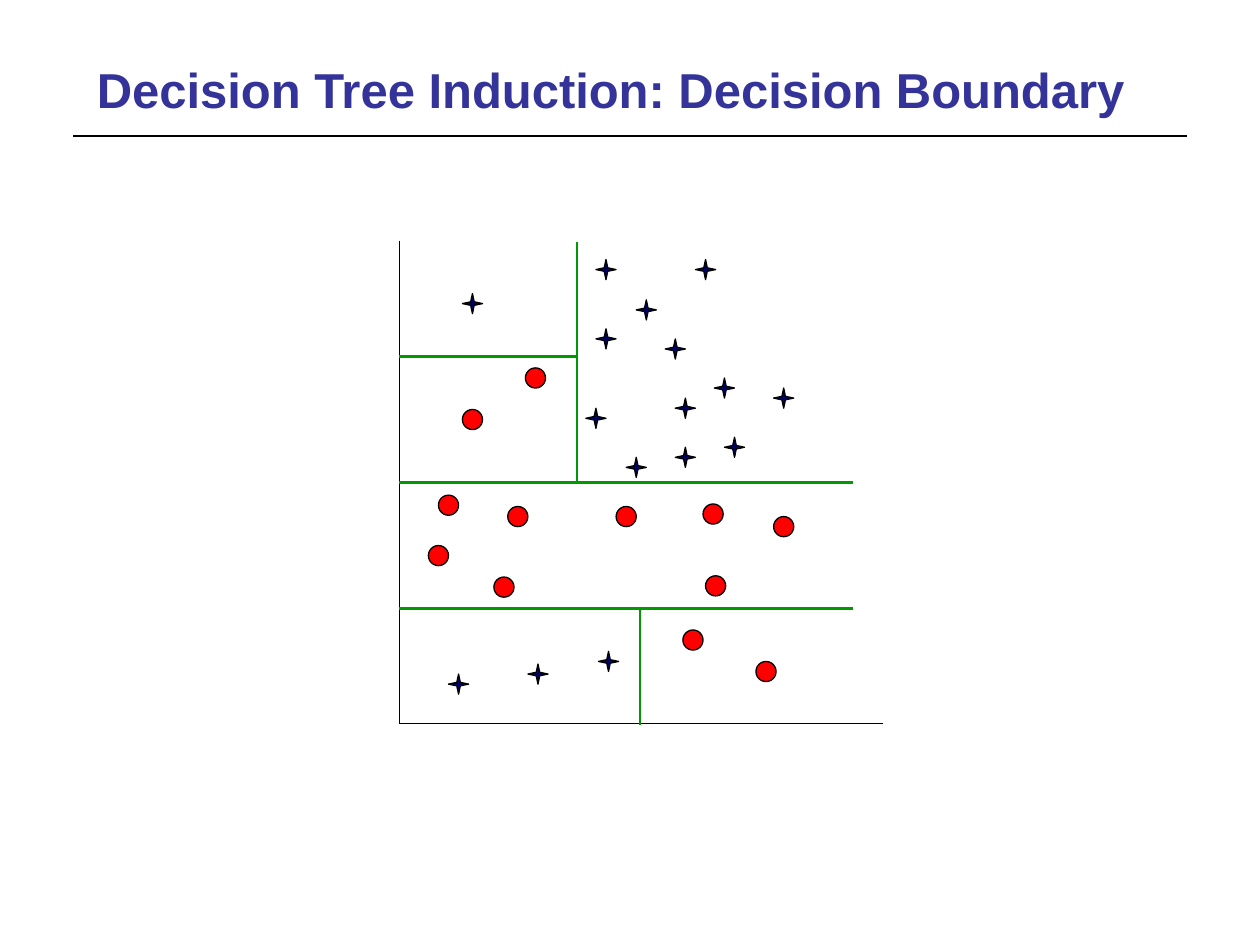
"""Build a slide showing the decision boundary of a decision tree."""
from lxml.etree import SubElement
from pptx import Presentation
from pptx.dml.color import RGBColor
from pptx.enum.shapes import MSO_CONNECTOR as Connector, MSO_SHAPE as Shape
from pptx.enum.text import MSO_ANCHOR as Anchor, PP_ALIGN as Align
from pptx.oxml.ns import qn
from pptx.util import Inches, Pt

COLORS = {"title": "333399", "axis": "000000", "boundary": "009900",
          "star": "000066", "circle": "FF0000"}
TITLE = "Decision Tree Induction: Decision Boundary"
MARKER_SIZE = 0.16
LEFT, RIGHT = 3.17, 6.77
UPPER_SPLIT, LOWER_SPLIT = 4.58, 5.08

RULE = [(0.58, 1.08, 9.42, 1.08)]
AXES = [(LEFT, 1.91, LEFT, 5.74), (LEFT, 5.74, 7.01, 5.74)]
BOUNDARIES = [
    (LEFT, 3.83, RIGHT, 3.83),
    (UPPER_SPLIT, 1.92, UPPER_SPLIT, 3.83),
    (LEFT, 2.83, UPPER_SPLIT, 2.83),
    (LEFT, 4.83, RIGHT, 4.83),
    (LOWER_SPLIT, 4.83, LOWER_SPLIT, 5.75),
]
STARS = [
    (5.52, 2.06), (4.73, 2.06), (4.73, 2.61), (5.05, 2.38),
    (5.28, 2.69), (3.56, 5.35), (4.65, 3.24), (5.36, 3.16),
    (4.97, 3.63), (5.67, 3.00), (5.75, 3.47), (6.14, 3.08),
    (4.75, 5.17), (4.19, 5.27), (3.67, 2.33), (5.36, 3.55),
]
CIRCLES = [
    (3.40, 4.33), (3.48, 3.93), (4.03, 4.02), (4.17, 2.92),
    (3.92, 4.58), (5.58, 4.00), (5.60, 4.57), (6.14, 4.10),
    (5.42, 5.00), (6.00, 5.25), (4.89, 4.02), (3.67, 3.25),
]


def color(name):
    return RGBColor.from_string(COLORS[name])


def add_text(slide, text, left, top, width, height, *, size, fill, bold=False,
             font="Arial", align=Align.LEFT, anchor=Anchor.TOP):
    box = slide.shapes.add_textbox(*map(Inches, (left, top, width, height)))
    frame = box.text_frame
    frame.word_wrap = True
    frame.vertical_anchor = anchor
    paragraph = frame.paragraphs[0]
    paragraph.alignment = align
    run = paragraph.add_run()
    run.text = text
    run.font.name, run.font.size, run.font.bold = font, Pt(size), bold
    run.font.color.rgb = color(fill)


def add_lines(slide, lines, stroke, weight):
    for ends in lines:
        line = slide.shapes.add_connector(Connector.STRAIGHT, *map(Inches, ends))
        line.line.color.rgb = color(stroke)
        line.line.width = Pt(weight)
        SubElement(line._element.spPr, qn("a:effectLst"))


def add_markers(slide, kind, positions, fill):
    size = Inches(MARKER_SIZE)
    for left, top in positions:
        marker = slide.shapes.add_shape(kind, Inches(left), Inches(top), size, size)
        marker.shadow.inherit = False
        if kind == Shape.STAR_4_POINT:
            marker.adjustments[0] = 0.125
        marker.fill.solid()
        marker.fill.fore_color.rgb = color(fill)
        marker.line.color.rgb = color("axis")
        marker.line.width = Pt(0.75)


def main():
    presentation = Presentation()
    presentation.slide_width, presentation.slide_height = Inches(10), Inches(7.5)
    slide = presentation.slides.add_slide(presentation.slide_layouts[6])
    add_lines(slide, RULE, "axis", 1)
    add_text(slide, TITLE, 0.67, 0.42, 8.67, 1, size=28, fill="title", bold=True)
    add_lines(slide, AXES, "axis", 0.75)
    add_markers(slide, Shape.STAR_4_POINT, STARS, "star")
    add_markers(slide, Shape.OVAL, CIRCLES, "circle")
    add_lines(slide, BOUNDARIES, "boundary", 1.5)
    presentation.save("out.pptx")


if __name__ == "__main__":
    main()
